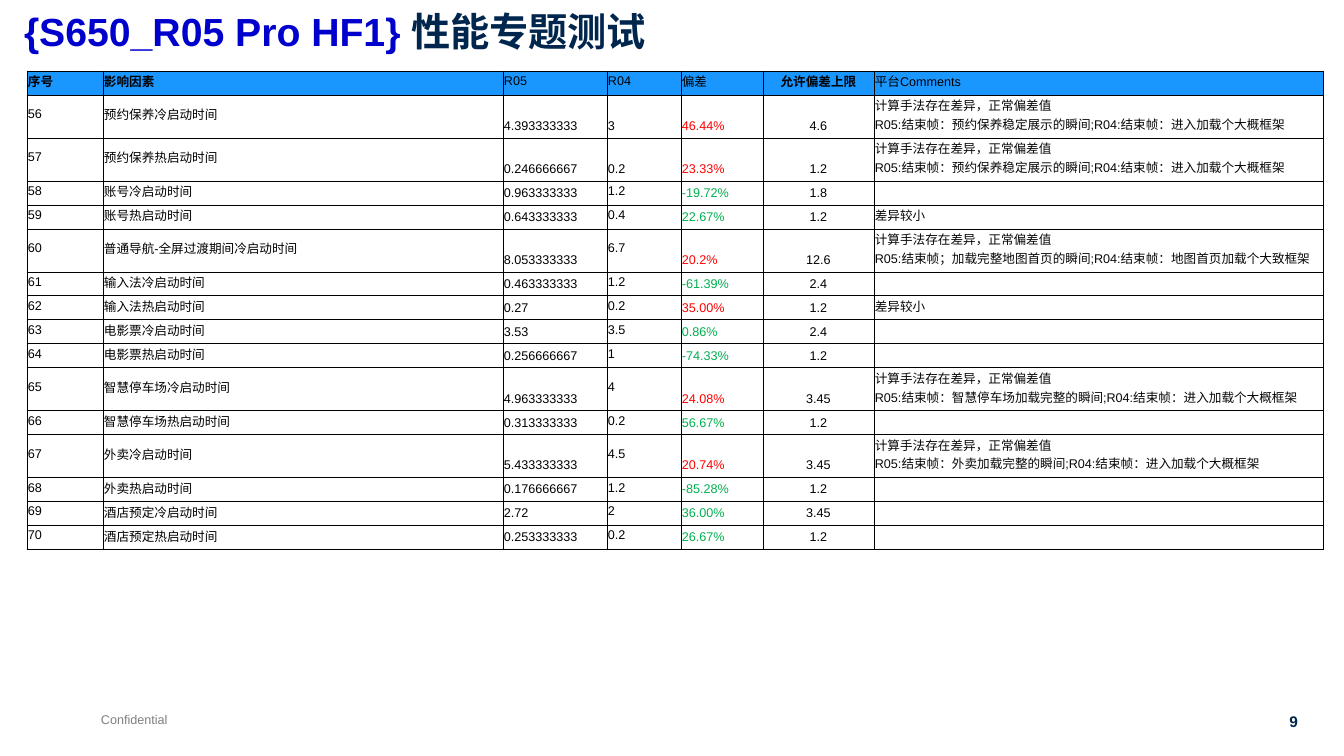
from lxml import etree
from pptx import Presentation
from pptx.dml.color import RGBColor
from pptx.enum.text import MSO_ANCHOR, PP_ALIGN
from pptx.oxml.ns import qn
from pptx.util import Pt

LEFT, CENTER, RIGHT = PP_ALIGN.LEFT, PP_ALIGN.CENTER, PP_ALIGN.RIGHT
TOP, MIDDLE, BOTTOM = MSO_ANCHOR.TOP, MSO_ANCHOR.MIDDLE, MSO_ANCHOR.BOTTOM
EMU_PER_PX = 914400 / 100.8
FONT = "Arial"
COLORS = {
    "black": "000000",
    "comment": "080808",
    "header": "1997FF",
    "red": "FF0000",
    "green": "00B050",
    "blue": "0000CC",
    "navy": "00264E",
    "gray": "808080",
}

COLUMN_WIDTHS = [76, 400, 104, 74, 82, 111, 449]
SINGLE_ROW, DOUBLE_ROW = 24, 43
HEADERS = ["序号", "影响因素", "R05", "R04", "偏差", "允许偏差上限", "平台Comments"]
BOLD_HEADERS = {"序号", "影响因素", "允许偏差上限"}
FIRST_NUMBER = 56
METHOD = "计算手法存在差异，正常偏差值\nR05:结束帧"
ROUGH_FRAME = ";R04:结束帧：进入加载个大概框架"
BOOKING_COMMENT = METHOD + "：预约保养稳定展示的瞬间" + ROUGH_FRAME
MAP_COMMENT = METHOD + "；加载完整地图首页的瞬间;R04:结束帧：地图首页加载个大致框架"
PARKING_COMMENT = METHOD + "：智慧停车场加载完整的瞬间" + ROUGH_FRAME
TAKEAWAY_COMMENT = METHOD + "：外卖加载完整的瞬间" + ROUGH_FRAME
SMALL = "差异较小"
MEASUREMENTS = [
    ("预约保养冷启动时间", "4.393333333", "3", "46.44%", "red", "4.6", BOOKING_COMMENT),
    ("预约保养热启动时间", "0.246666667", "0.2", "23.33%", "red", "1.2", BOOKING_COMMENT),
    ("账号冷启动时间", "0.963333333", "1.2", "-19.72%", "green", "1.8", ""),
    ("账号热启动时间", "0.643333333", "0.4", "22.67%", "green", "1.2", SMALL),
    ("普通导航-全屏过渡期间冷启动时间", "8.053333333", "6.7", "20.2%", "red", "12.6", MAP_COMMENT),
    ("输入法冷启动时间", "0.463333333", "1.2", "-61.39%", "green", "2.4", ""),
    ("输入法热启动时间", "0.27", "0.2", "35.00%", "red", "1.2", SMALL),
    ("电影票冷启动时间", "3.53", "3.5", "0.86%", "green", "2.4", ""),
    ("电影票热启动时间", "0.256666667", "1", "-74.33%", "green", "1.2", ""),
    ("智慧停车场冷启动时间", "4.963333333", "4", "24.08%", "red", "3.45", PARKING_COMMENT),
    ("智慧停车场热启动时间", "0.313333333", "0.2", "56.67%", "green", "1.2", ""),
    ("外卖冷启动时间", "5.433333333", "4.5", "20.74%", "red", "3.45", TAKEAWAY_COMMENT),
    ("外卖热启动时间", "0.176666667", "1.2", "-85.28%", "green", "1.2", ""),
    ("酒店预定冷启动时间", "2.72", "2", "36.00%", "green", "3.45", ""),
    ("酒店预定热启动时间", "0.253333333", "0.2", "26.67%", "green", "1.2", ""),
]


def px(value):
    return round(value * EMU_PER_PX)


class SlideBuilder:
    def __init__(self, presentation):
        self.slide = presentation.slides.add_slide(presentation.slide_layouts[6])

    def style(self, run, size, color, bold=False):
        run.font.name = FONT
        run.font.size = Pt(size)
        run.font.bold = bold
        run.font.color.rgb = RGBColor.from_string(COLORS[color])

    def text(self, box, pieces, size, bold=False, align=LEFT, wrap=False, inset=5, spacing=None):
        shape = self.slide.shapes.add_textbox(*map(px, box))
        frame = shape.text_frame
        frame.word_wrap = wrap
        frame.vertical_anchor = TOP
        frame.margin_top = frame.margin_bottom = px(inset)
        frame.margin_left = frame.margin_right = px(10)
        paragraph = frame.paragraphs[0]
        paragraph.alignment = align
        paragraph.line_spacing = spacing
        for content, color in pieces:
            run = paragraph.add_run()
            run.text = content
            self.style(run, size, color, bold)

    def table(self, left, top, widths, heights):
        shape = self.slide.shapes.add_table(
            len(heights), len(widths), px(left), px(top), px(sum(widths)), px(sum(heights)))
        table = shape.table
        table.first_row = table.horz_banding = False
        for column, width in zip(table.columns, widths):
            column.width = px(width)
        for row, height in zip(table.rows, heights):
            row.height = px(height)
        return table

    def borders(self, cell):
        properties = cell._tc.get_or_add_tcPr()
        for side in ("a:lnL", "a:lnR", "a:lnT", "a:lnB"):
            line = etree.SubElement(properties, qn(side), w=str(Pt(0.5)))
            fill = etree.SubElement(line, qn("a:solidFill"))
            etree.SubElement(fill, qn("a:srgbClr"), val=COLORS["black"])

    def cell(self, cell, content, color="black", bold=False, align=LEFT, anchor=MIDDLE, fill=None):
        self.borders(cell)
        if fill:
            cell.fill.solid()
            cell.fill.fore_color.rgb = RGBColor.from_string(COLORS[fill])
        else:
            cell.fill.background()
        cell.margin_left = cell.margin_right = cell.margin_top = px(1)
        cell.margin_bottom = px(5)
        cell.vertical_anchor = anchor
        cell.text_frame.text = content
        for paragraph in cell.text_frame.paragraphs:
            paragraph.alignment = align
            for run in paragraph.runs:
                self.style(run, 9, color, bold)
            if not content:
                etree.SubElement(paragraph._p, qn("a:endParaRPr"), sz="900")


def main():
    presentation = Presentation()
    presentation.slide_width, presentation.slide_height = px(1344), px(756)
    builder = SlideBuilder(presentation)
    builder.text((91, 707, 88, 25), [("Confidential", "gray")], 9)
    builder.text((1269, 707, 39, 29), [("9", "navy")], 11, bold=True, align=RIGHT)
    builder.text((14, 13, 1194, 63), [("{S650_R05 Pro HF1} ", "blue"), ("性能专题测试", "navy")],
                 28, bold=True, wrap=True, inset=0, spacing=0.9)

    heights = [SINGLE_ROW] + [
        DOUBLE_ROW if "\n" in measurement[-1] else SINGLE_ROW for measurement in MEASUREMENTS]
    table = builder.table(27, 71, COLUMN_WIDTHS, heights)
    for column, header in enumerate(HEADERS):
        builder.cell(table.cell(0, column), header, bold=header in BOLD_HEADERS,
                     align=CENTER if column == 5 else LEFT, fill="header")
    for index, (factor, r05, r04, deviation, color, limit, comment) in enumerate(MEASUREMENTS):
        values = [
            (str(FIRST_NUMBER + index), "black", LEFT, MIDDLE),
            (factor, "black", LEFT, MIDDLE),
            (r05, "black", LEFT, BOTTOM),
            (r04, "black", LEFT, BOTTOM if index < 2 else MIDDLE),
            (deviation, color, LEFT, BOTTOM),
            (limit, "black", CENTER, BOTTOM),
            (comment, "comment", LEFT, BOTTOM),
        ]
        for column, (content, ink, align, anchor) in enumerate(values):
            builder.cell(table.cell(index + 1, column), content, ink, align=align, anchor=anchor)
    presentation.save("out.pptx")


if __name__ == "__main__":
    main()
